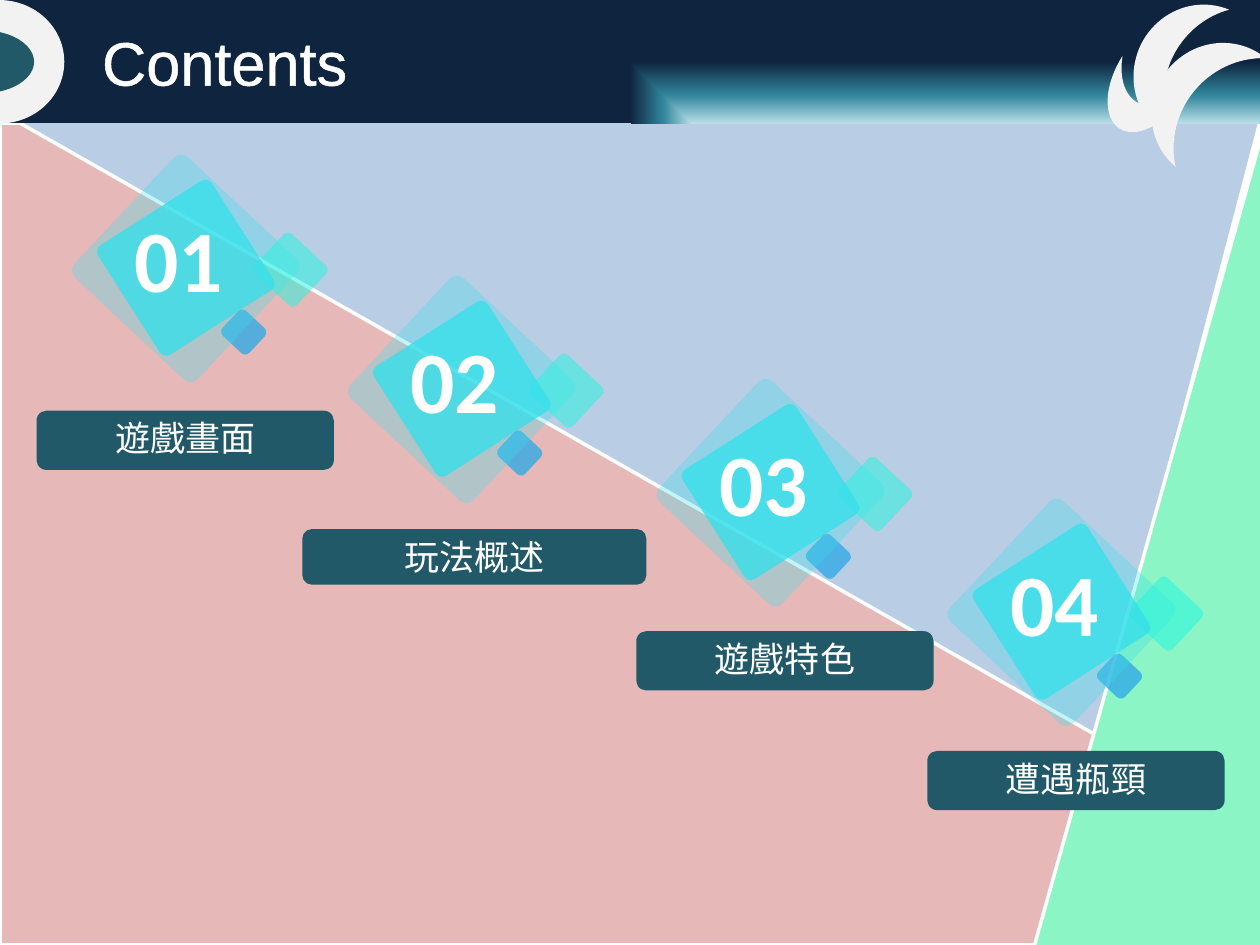
"""Build the game presentation's contents slide with four numbered topics."""
from lxml import etree
from pptx import Presentation
from pptx import util as u
from pptx.dml import color
from pptx.enum import shapes, text
from pptx.oxml import ns

KIND = shapes.MSO_SHAPE
WHITE, PALE, TEAL = "FFFFFF", "F2F2F2", "215968"
HEADER_HEIGHT = 0.98
HEADER_STOPS = [(0, "B7DEE8"), (46, "31859C"), (100, "0F243E")]

TOPICS = [
    {"number": "01", "label": "遊戲畫面", "badge": (0.82, 1.46), "bar": (0.29, 3.26, 2.36, 0.47)},
    {"number": "02", "label": "玩法概述", "badge": (3.01, 2.42), "bar": (2.4, 4.2, 2.73, 0.44)},
    {"number": "03", "label": "遊戲特色", "badge": (5.46, 3.24), "bar": (5.05, 5.01, 2.36, 0.47)},
    {"number": "04", "label": "遭遇瓶頸", "badge": (7.77, 4.19), "bar": (7.36, 5.96, 2.36, 0.47)},
]
BACKDROP = [
    (KIND.RECTANGLE, (0, HEADER_HEIGHT, 8.75, 6.52), 0, "E6B9B8"),
    (KIND.ISOSCELES_TRIANGLE, (2.18, -2.63, 5.11, 9.58), 284.7, "B9CDE5"),
    (KIND.RIGHT_TRIANGLE, (5.84, 3.34, 6.56, 1.84), 270, "8BF5C5"),
]
EYE = [
    ((-0.52, 0, 1.03, HEADER_HEIGHT), (54.02, 162.18), PALE),
    ((-0.55, 0.24, 0.82, 0.5), (72.29, 143.65), TEAL),
]
FEATHERS = [
    ((9.21, 0.16, 0.54, 1.12), 39.7),
    ((9.02, -0.07, 0.54, 1.12), 22.6),
    ((8.77, 0.52, 0.5, 0.58), 302.5),
]
DIAMONDS = [
    ((0.98, 1.03, 0.27, 0.29), 313.1, 0.17, "32AAE6", 80),
    ((0, 0, 1.31, 1.34), 313.1, 0.06, "37DFEA", 30),
    ((1.27, 0.45, 0.43, 0.46), 313.1, 0.11, "1EF6DF", 50),
    ((0.12, 0.15, 1.07, 1.03), 327.4, 0.06, "37DFEA", 80),
]
NUMBER_BOX = (0.15, 0.12, 1.1, 0.94)
LABEL_INSET, LABEL_HEIGHT = 0.12, 0.44


def paint(target, hex_color, alpha=100):
    target.solid()
    target.fore_color.rgb = color.RGBColor.from_string(hex_color)
    if alpha < 100:
        tint = target._xPr.find(".//" + ns.qn("a:srgbClr"))
        etree.SubElement(tint, ns.qn("a:alpha"), val=str(alpha * 1000))


def place(part, frame):
    part.left, part.top, part.width, part.height = map(u.Inches, frame)


def offset(frame, origin):
    return (frame[0] + origin[0], frame[1] + origin[1], *frame[2:])


def add_figure(parent, kind, frame, fill, rotation=0, adjust=(), alpha=100, border=None):
    figure = parent.add_shape(kind, *map(u.Inches, frame))
    figure.shadow.inherit = False
    figure.rotation = rotation
    for index, value in enumerate(adjust):
        figure.adjustments[index] = value
    paint(figure.fill, fill, alpha)
    if border:
        paint(figure.line.fill, border)
        figure.line.width = u.Pt(2)
    else:
        figure.line.fill.background()
    return figure


def write(holder, words, size, font, bold=False, align=text.PP_ALIGN.LEFT,
          anchor=text.MSO_ANCHOR.TOP, fit=text.MSO_AUTO_SIZE.SHAPE_TO_FIT_TEXT, outline=None):
    frame = holder.text_frame
    frame.word_wrap, frame.auto_size, frame.vertical_anchor = True, fit, anchor
    paragraph = frame.paragraphs[0]
    paragraph.alignment = align
    run = paragraph.add_run()
    run.text = words
    run.font.size, run.font.name, run.font.bold = u.Pt(size), font, bold
    paint(run.font.fill, WHITE)
    properties = run.font._element
    properties.find(ns.qn("a:latin")).addnext(
        etree.Element(ns.qn("a:ea"), typeface=font))
    if outline:
        stroke = etree.Element(ns.qn("a:ln"), w=str(u.Pt(1.5)))
        solid = etree.SubElement(stroke, ns.qn("a:solidFill"))
        etree.SubElement(solid, ns.qn("a:srgbClr"), val=outline)
        properties.insert(0, stroke)


def add_header(slide):
    header = add_figure(slide.shapes, KIND.RECTANGLE, (0, 0, 10, HEADER_HEIGHT), WHITE)
    gradient = etree.Element(ns.qn("a:gradFill"), rotWithShape="1")
    stops = etree.SubElement(gradient, ns.qn("a:gsLst"))
    for position, hex_color in HEADER_STOPS:
        stop = etree.SubElement(stops, ns.qn("a:gs"), pos=str(position * 1000))
        etree.SubElement(stop, ns.qn("a:srgbClr"), val=hex_color)
    sweep = etree.SubElement(gradient, ns.qn("a:path"))
    sweep.set("path", "rect")
    etree.SubElement(sweep, ns.qn("a:fillToRect"), l="100000", t="100000")
    etree.SubElement(gradient, ns.qn("a:tileRect"), r="-100000", b="-100000")
    solid = header.element.spPr.find(ns.qn("a:solidFill"))
    solid.getparent().replace(solid, gradient)


def add_topic(slide, topic):
    badge = slide.shapes.add_group_shape().shapes
    for frame, rotation, corner, fill, alpha in DIAMONDS:
        add_figure(badge, KIND.ROUNDED_RECTANGLE, offset(frame, topic["badge"]), fill,
                   rotation, (corner,), alpha)
    number = badge.add_textbox(*map(u.Inches, offset(NUMBER_BOX, topic["badge"])))
    write(number, topic["number"], 50, "Calibri", bold=True)

    caption = slide.shapes.add_group_shape().shapes
    add_figure(caption, KIND.ROUNDED_RECTANGLE, topic["bar"], TEAL)
    left, top, width, _ = topic["bar"]
    label_frame = (left + LABEL_INSET, top, width - 2 * LABEL_INSET, LABEL_HEIGHT)
    label = caption.add_textbox(*map(u.Inches, label_frame))
    write(label, topic["label"], 20, "Noto Sans CJK SC", align=text.PP_ALIGN.CENTER)


def main():
    deck = Presentation()
    deck.slide_width, deck.slide_height = u.Inches(10), u.Inches(7.5)
    slide = deck.slides.add_slide(deck.slide_layouts[5])
    for kind, frame, rotation, fill in BACKDROP:
        add_figure(slide.shapes, kind, frame, fill, rotation, border=WHITE)
    add_header(slide)
    for frame, angles, fill in EYE:
        add_figure(slide.shapes, KIND.CHORD, frame, fill, 180, angles)
    for frame, rotation in FEATHERS:
        add_figure(slide.shapes, KIND.MOON, frame, PALE, rotation)
    for topic in TOPICS:
        add_topic(slide, topic)

    title = slide.shapes.title
    place(title, (0.71, 0.06, 8.11, 0.85))
    write(title, "Contents", 35, "Arial", anchor=text.MSO_ANCHOR.MIDDLE,
          fit=text.MSO_AUTO_SIZE.NONE, outline=WHITE)
    title.element.getparent().append(title.element)
    deck.save("out.pptx")


if __name__ == "__main__":
    main()
